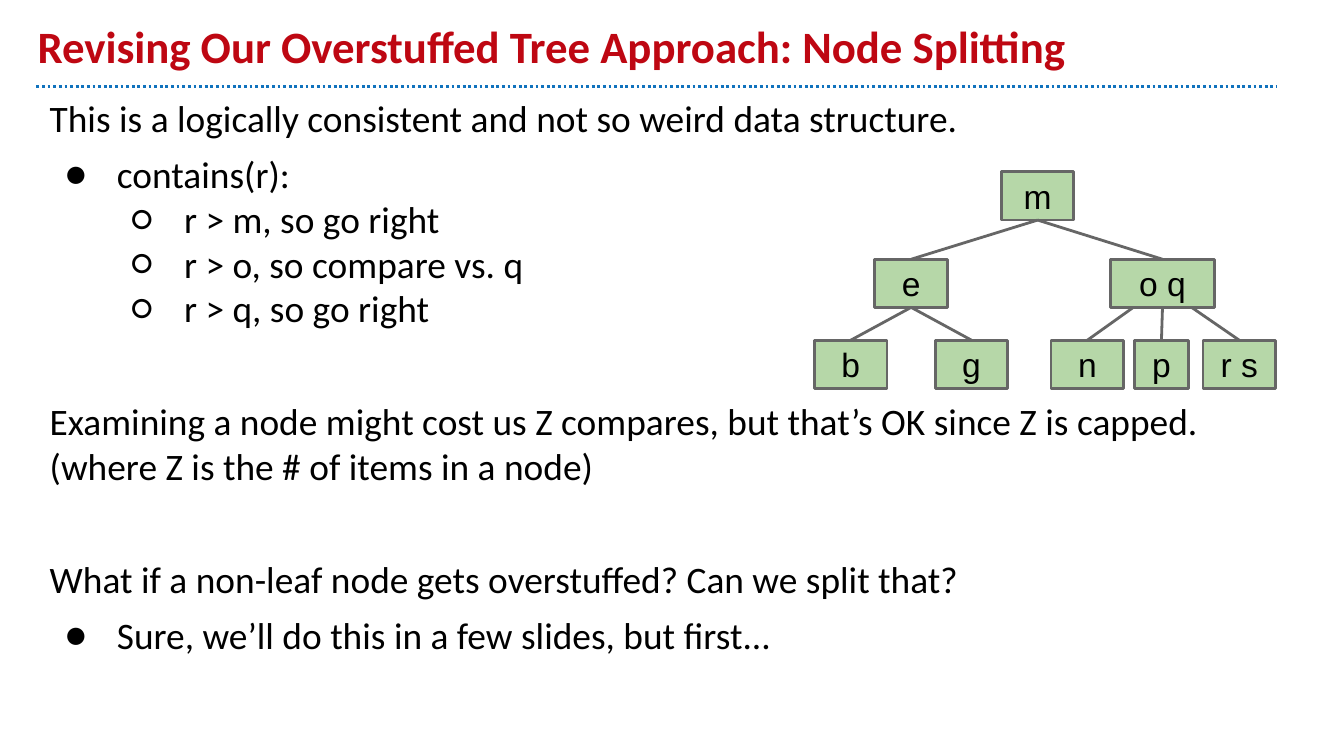
import pptx
import pptx.dml.color
import pptx.enum.dml
import pptx.enum.shapes
import pptx.enum.text
import pptx.oxml.ns
import pptx.util
from lxml import etree

Cm, Pt = pptx.util.Cm, pptx.util.Pt
qn = pptx.oxml.ns.qn


def color(value):
    return pptx.dml.color.RGBColor.from_string(value)


def add_line(x1, y1, x2, y2, line_color):
    """Add a straight 1.5 pt connector without shadow; places are in cm."""
    c = s.shapes.add_connector(pptx.enum.shapes.MSO_CONNECTOR.STRAIGHT,
                               Cm(x1), Cm(y1), Cm(x2), Cm(y2))
    c.line.color.rgb = color(line_color)
    c.line.width = Pt(1.5)
    etree.SubElement(c._element.spPr, qn("a:effectLst"))
    return c


prs = pptx.Presentation()
prs.slide_width, prs.slide_height = Cm(25.4), Cm(14.29)
s = prs.slides.add_slide(prs.slide_layouts[6])

rule = add_line(0.69, 1.63, 24.13, 1.63, "1072BD")
rule.line.dash_style = pptx.enum.dml.MSO_LINE.ROUND_DOT

# Title and body: bullet level (0 is plain), space before, text
title = [(0, 0, "Revising Our Overstuffed Tree Approach: Node Splitting")]
body = [
    (0, 0, "This is a logically consistent and not so weird data structure."),
    (1, 6, "contains(r):"),
    (2, 0, "r > m, so go right"),
    (2, 0, "r > o, so compare vs. q"),
    (2, 0, "r > q, so go right"),
    (0, 36.4, "Examining a node might cost us Z compares, but that’s OK since Z is capped. "
              "(where Z is the # of items in a node)"),
    (0, 36.4, "What if a non-leaf node gets overstuffed? Can we split that?"),
    (1, 6, "Sure, we’ll do this in a few slides, but first..."),
]
ANCHOR = pptx.enum.text.MSO_ANCHOR
boxes = [
    (0.46, 0.25, 22.86, 1.37, ANCHOR.BOTTOM, 24, "BE0712", True, title),
    (0.69, 1.55, 23.9, 12.04, ANCHOR.TOP, 20, "000000", False, body),
]
for x, y, w, h, anchor, size, text_color, bold, paragraphs in boxes:
    tf = s.shapes.add_textbox(Cm(x), Cm(y), Cm(w), Cm(h)).text_frame
    tf.word_wrap = True
    tf.vertical_anchor = anchor
    tf.margin_left = tf.margin_right = tf.margin_top = tf.margin_bottom = Cm(0.25)
    for i, (level, space, text) in enumerate(paragraphs):
        p = tf.add_paragraph() if i else tf.paragraphs[0]
        p.space_before = Pt(space)
        if level:
            p.level = level - 1
            pPr = p._p.get_or_add_pPr()
            pPr.set("marL", str(Cm(1.27 * level)))
            pPr.set("indent", str(Cm(-0.99)))
            bullet_color = etree.SubElement(pPr, qn("a:buClr"))
            etree.SubElement(bullet_color, qn("a:srgbClr"), val=text_color)
            etree.SubElement(pPr, qn("a:buFont"), typeface="Calibri")
            etree.SubElement(pPr, qn("a:buChar"), char="●○"[level - 1])
        r = p.add_run()
        r.text = text
        r.font.name = "Calibri"
        r.font.size = Pt(size)
        r.font.bold = bold
        r.font.color.rgb = color(text_color)

# Tree nodes: label -> centre x, row, width
node_height = 0.91
row_tops = [3.25, 4.9, 6.43]
nodes = {
    "m": (19.61, 0, 1.37),
    "e": (17.22, 1, 1.37),
    "o q": (21.97, 1, 1.96),
    "b": (16.08, 2, 1.37),
    "g": (18.36, 2, 1.37),
    "n": (20.55, 2, 1.37),
    "p": (21.95, 2, 1.02),
    "r s": (23.42, 2, 1.37),
}
for label, (x, row, width) in nodes.items():
    sp = s.shapes.add_shape(pptx.enum.shapes.MSO_SHAPE.RECTANGLE, Cm(x - width / 2),
                            Cm(row_tops[row]), Cm(width), Cm(node_height))
    sp.shadow.inherit = False
    sp.fill.solid()
    sp.fill.fore_color.rgb = color("B6D7A8")
    sp.line.color.rgb = color("666666")
    sp.line.width = Pt(1.5)
    tf = sp.text_frame
    tf.vertical_anchor = ANCHOR.MIDDLE
    tf.margin_left = tf.margin_right = tf.margin_top = tf.margin_bottom = Cm(0.25)
    p = tf.paragraphs[0]
    p.alignment = pptx.enum.text.PP_ALIGN.CENTER
    r = p.add_run()
    r.text = label
    r.font.name = "Arial"
    r.font.size = Pt(18)
    r.font.color.rgb = color("000000")

# Edges: parent, child, offset from the parent's centre
edges = [
    ("m", "e", 0), ("m", "o q", 0),
    ("e", "b", 0), ("e", "g", 0),
    ("o q", "n", -0.55), ("o q", "p", 0), ("o q", "r s", 0.55),
]
for parent, child, offset in edges:
    parent_x, parent_row, _ = nodes[parent]
    child_x, child_row, _ = nodes[child]
    add_line(parent_x + offset, row_tops[parent_row] + node_height,
             child_x, row_tops[child_row], "666666")

prs.save("out.pptx")
